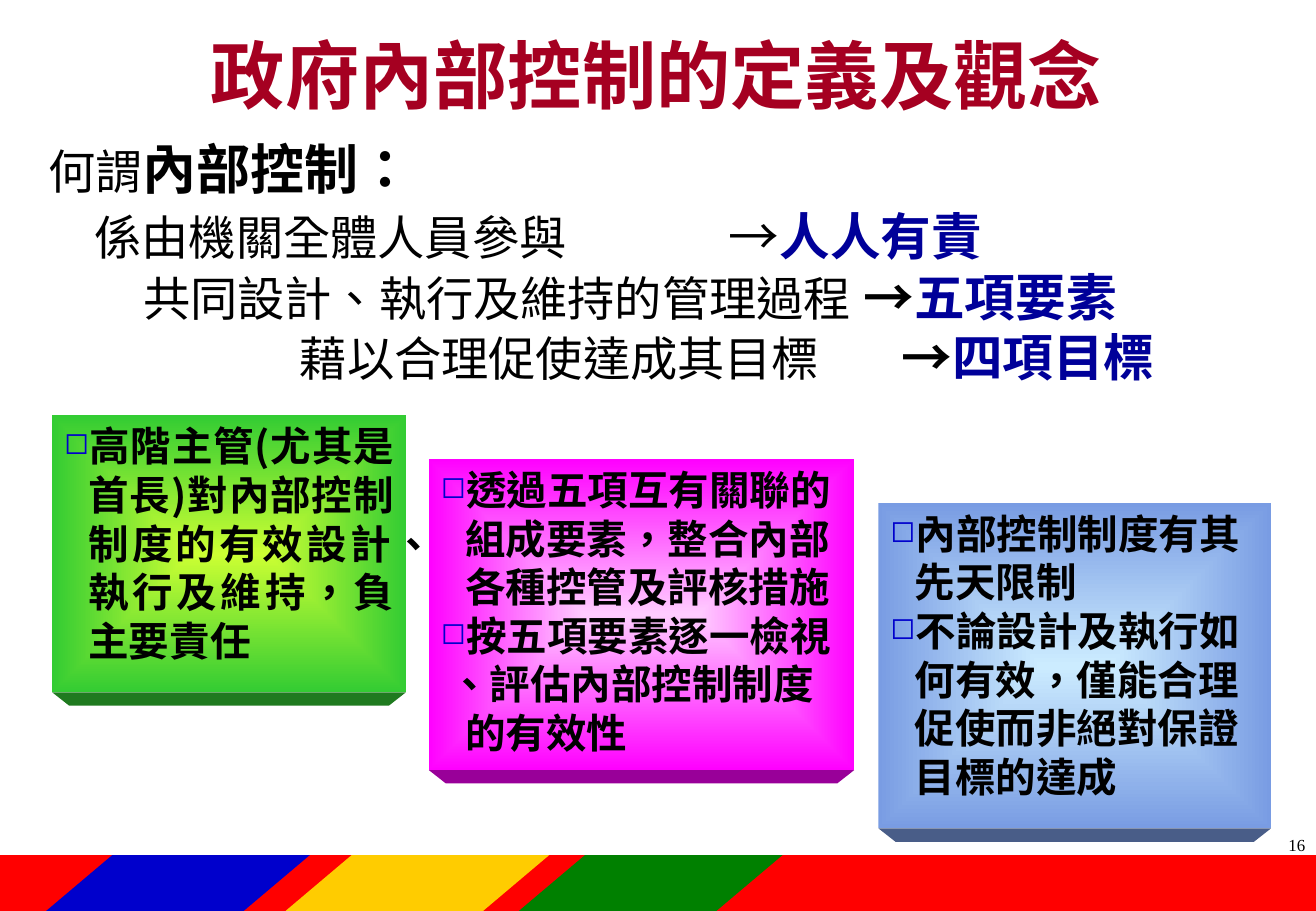
"""Build the slide on the definition and concepts of government internal control."""
from pptx import Presentation
from pptx.dml.color import RGBColor
from pptx.enum import shapes, text
from pptx.oxml import ns, xmlchemy
from pptx.util import Inches, Pt

SANS, SERIF = "Noto Sans CJK SC", "Times New Roman"
BLACK, NAVY, BLUE = "000000", "000099", "0000CC"
TITLE = "政府內部控制的定義及觀念"
BAR_TOP, BAR_HEIGHT = 7.04, 0.46
STRIPES = [(2.35, "FFCC00"), (4.27, "008000"), (0.38, BLUE)]

# Each line: tab stops, then runs of (wording, size, colour, bold)
DEFINITION = [
    ([], [("何謂", 28, BLACK, False), ("內部控制：", 32, BLACK, True)]),
    ([0.38, 5.6], [("\t係由機關全體人員參與\t", 28, BLACK, False),
                   ("→", 30, BLACK, False), ("人人有責", 30, NAVY, True)]),
    ([0.78, 6.71], [("\t共同設計、執行及維持的管理過程\t", 28, BLACK, False),
                    ("→", 30, BLACK, True), ("五項要素", 30, NAVY, True)]),
    ([2.07, 7.02], [("\t藉以合理促使達成其目標\t", 28, BLACK, False),
                    ("→", 30, BLACK, True), ("四項目標", 30, NAVY, True)]),
]
LINE_HEIGHTS = [38.4, 38.4, 36, 36]

# Each card: place, centre, edge and base colours, justified, (bulleted, wording)
CARDS = [
    ((0.43, 3.42, 2.91, 2.28), "CCFF33", "33CC33", "1F7A1F", True,
     [(True, "高階主管(尤其是首長)對內部控制制度的有效設計、執行及維持，負主要責任")]),
    ((3.53, 3.78, 3.5, 2.56), "FFCCFF", "FF00FF", "990099", False,
     [(True, "透過五項互有關聯的組成要素，整合內部各種控管及評核措施"),
      (True, "按五項要素逐一檢視"),
      (False, "、評估內部控制制度的有效性")]),
    ((7.23, 4.14, 3.23, 2.68), "CCECFF", "799CE3", "495D88", False,
     [(True, "內部控制制度有其先天限制"),
      (True, "不論設計及執行如何有效，僅能合理促使而非絕對保證目標的達成")]),
]
BASE_DEPTH, BASE_INSET = 0.11, 0.14


def color(value):
    return RGBColor.from_string(value)


def add_xml(parent, tag, **attributes):
    child = xmlchemy.OxmlElement(tag)
    for name, value in attributes.items():
        child.set(name, str(value))
    parent.append(child)
    return child


def add_run(para, wording, size, fill, bold, latin=SANS):
    span = para.add_run()
    span.text = wording
    span.font.size, span.font.bold, span.font.name = Pt(size), bold, latin
    span.font.color.rgb = color(fill)
    properties = span.font._element
    properties.set("lang", "zh-TW")
    add_xml(properties, "a:ea", typeface=SANS)


def paragraphs(frame, items):
    for index, item in enumerate(items):
        yield (frame.add_paragraph() if index else frame.paragraphs[0]), item


def add_text_box(page, place):
    box = page.shapes.add_textbox(*map(Inches, place))
    box.text_frame.word_wrap = True
    return box.text_frame


def paint(shape, fill):
    shape.shadow.inherit = False
    shape.fill.solid()
    shape.fill.fore_color.rgb = color(fill)
    shape.line.fill.background()


def paint_glow(shape, centre, edge):
    shape.shadow.inherit = False
    shape.line.fill.background()
    shape.fill.gradient()
    for stop, value in zip(shape.fill.gradient_stops, (centre, edge)):
        stop.color.rgb = color(value)
    gradient = shape._element.spPr.find(ns.qn("a:gradFill"))
    gradient.remove(gradient.find(ns.qn("a:lin")))
    route = add_xml(gradient, "a:path", path="shape")
    add_xml(route, "a:fillToRect", l=50000, t=50000, r=50000, b=50000)


def add_title(page):
    title = page.shapes.title
    title.left, title.top, title.width, title.height = map(Inches, (0.53, 0.13, 9.75, 0.95))
    title.text_frame.vertical_anchor = text.MSO_ANCHOR.MIDDLE
    para = title.text_frame.paragraphs[0]
    para.alignment = text.PP_ALIGN.CENTER
    add_run(para, TITLE, 44, "A50021", True, SERIF)


def add_bar(page):
    bar = page.shapes.add_shape(shapes.MSO_SHAPE.RECTANGLE, 0, Inches(BAR_TOP),
                                Inches(10.83), Inches(BAR_HEIGHT))
    paint(bar, "FF0000")
    for left, fill in STRIPES:
        stripe = page.shapes.add_shape(shapes.MSO_SHAPE.PARALLELOGRAM, Inches(left),
                                       Inches(BAR_TOP), Inches(2.17), Inches(BAR_HEIGHT))
        stripe.adjustments[0] = 1.184
        paint(stripe, fill)


def add_definition(page):
    frame = add_text_box(page, (0.3, 1.07, 10.24, 2.17))
    for (para, (stops, runs)), height in zip(paragraphs(frame, DEFINITION), LINE_HEIGHTS):
        para.line_spacing = Pt(height)
        if stops:
            tabs = add_xml(para._p.get_or_add_pPr(), "a:tabLst")
            for stop in stops:
                add_xml(tabs, "a:tab", pos=Inches(stop), algn="l")
        for run in runs:
            add_run(para, *run)


def add_card(page, place, centre, edge, base_fill, justified, points):
    left, top, width, height = place
    right, bottom = left + width, top + height
    outline = page.shapes.build_freeform(Inches(left), Inches(bottom))
    outline.add_line_segments([(Inches(x), Inches(y)) for x, y in (
        (right, bottom), (right - BASE_INSET, bottom + BASE_DEPTH),
        (left + BASE_INSET, bottom + BASE_DEPTH))])
    paint(outline.convert_to_shape(), base_fill)

    card = page.shapes.add_shape(shapes.MSO_SHAPE.RECTANGLE, *map(Inches, place))
    paint_glow(card, centre, edge)
    frame = card.text_frame
    frame.word_wrap, frame.vertical_anchor = True, text.MSO_ANCHOR.TOP
    for para, (bulleted, wording) in paragraphs(frame, points):
        para.alignment = text.PP_ALIGN.JUSTIFY if justified else text.PP_ALIGN.LEFT
        para.line_spacing = Pt(28.8)
        properties = para._p.get_or_add_pPr()
        properties.set("marL", str(Inches(0.2)))
        properties.set("indent", str(Inches(-0.2 if bulleted else -0.13)))
        if bulleted:
            add_xml(add_xml(properties, "a:buClr"), "a:srgbClr", val=BLUE)
            add_xml(properties, "a:buSzPct", val=75000)
            add_xml(properties, "a:buChar", char="◻")
        add_run(para, wording, 24, BLACK, True)


def main():
    deck = Presentation()
    deck.slide_width, deck.slide_height = Inches(10.83), Inches(7.5)
    page = deck.slides.add_slide(deck.slide_layouts[5])
    add_bar(page)
    add_title(page)
    add_definition(page)
    for card in CARDS:
        add_card(page, *card)
    number = add_text_box(page, (8.31, 6.82, 2.53, 0.5)).paragraphs[0]
    number.alignment = text.PP_ALIGN.RIGHT
    add_run(number, "16", 10, BLACK, False, SERIF)
    deck.save("out.pptx")


if __name__ == "__main__":
    main()
